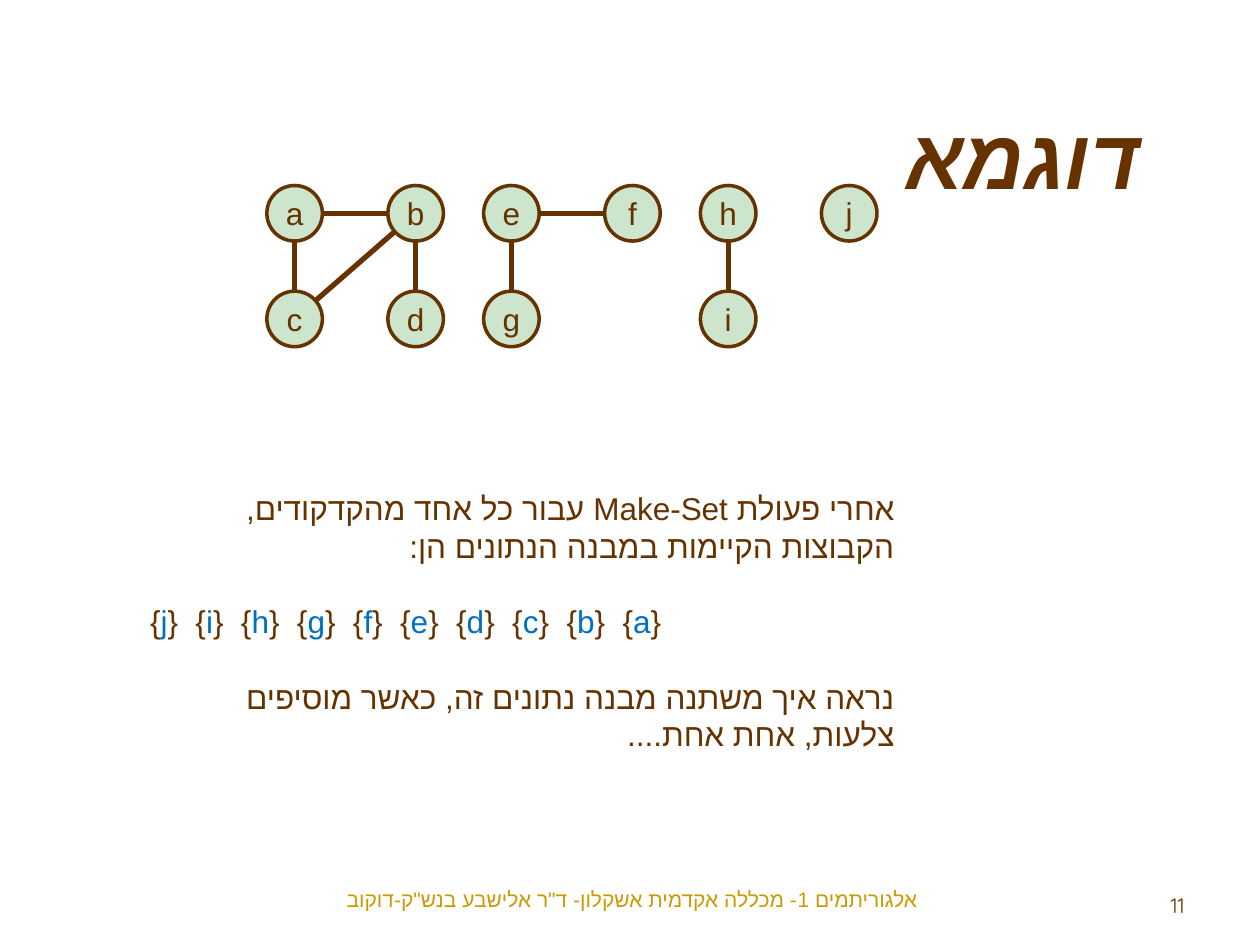
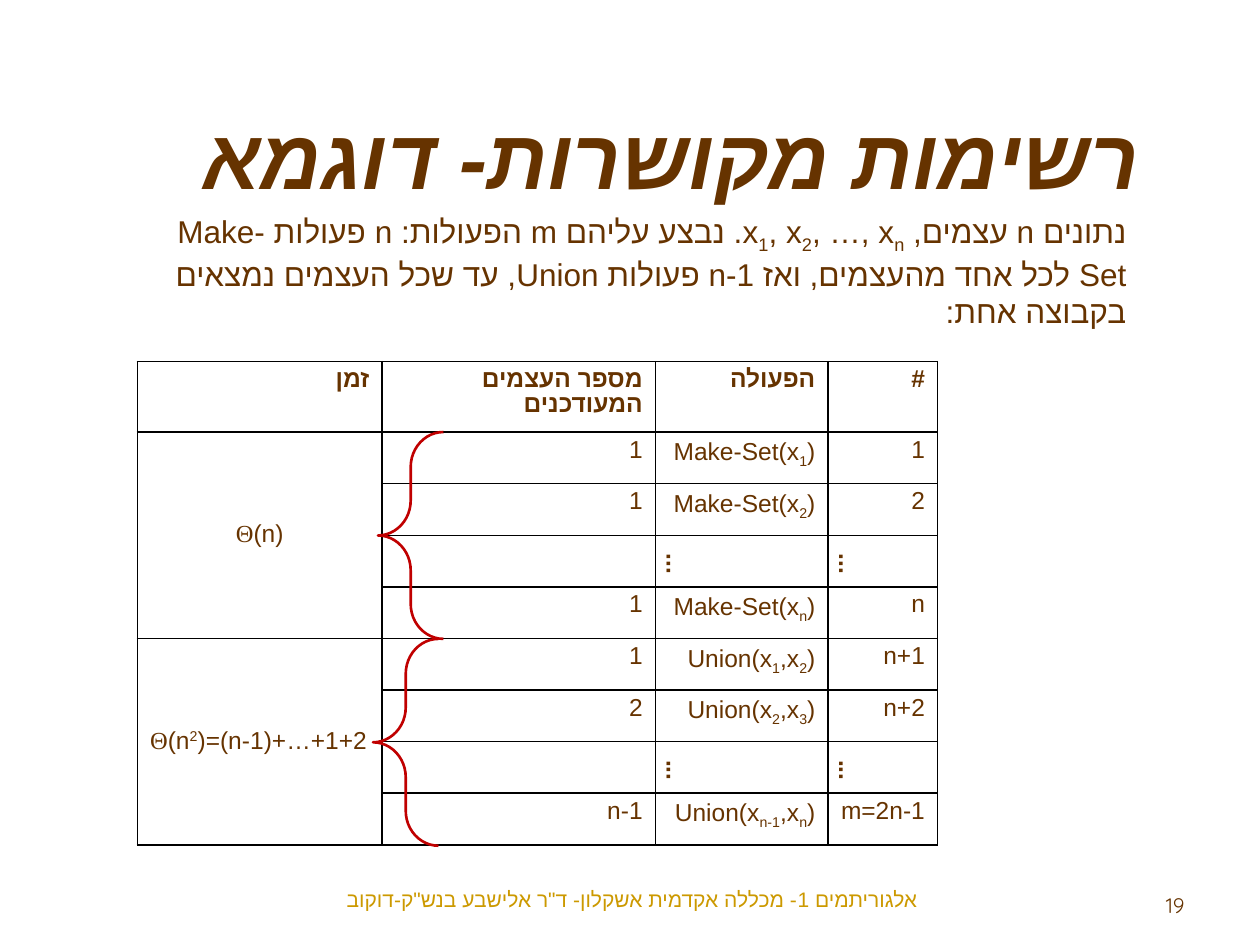
from dataclasses import dataclass
from math import hypot
from typing import NamedTuple

from lxml import etree
from pptx import Presentation
from pptx.dml.color import RGBColor
from pptx.enum.shapes import MSO_CONNECTOR, MSO_SHAPE
from pptx.enum.text import MSO_ANCHOR, MSO_AUTO_SIZE, PP_ALIGN
from pptx.oxml.ns import qn
from pptx.util import Cm, Pt

LEFT, CENTER, RIGHT = PP_ALIGN.LEFT, PP_ALIGN.CENTER, PP_ALIGN.RIGHT
TOP, MIDDLE, BOTTOM = MSO_ANCHOR.TOP, MSO_ANCHOR.MIDDLE, MSO_ANCHOR.BOTTOM
NO_AUTOFIT = MSO_AUTO_SIZE.NONE
ELLIPSE, LEFT_BRACE = MSO_SHAPE.OVAL, MSO_SHAPE.LEFT_BRACE
STRAIGHT = MSO_CONNECTOR.STRAIGHT


@dataclass(frozen=True)
class Theme:
    ink: str = "663300"
    accent: str = "0070C0"
    footer: str = "CC9900"
    node: str = "008000"
    brace: str = "C00000"
    border: str = "000000"
    font: str = "Arial"
    number_font: str = "Quicksand"
    symbol_font: str = "Times New Roman"
    title_size: int = 48
    body_size: int = 18
    cell_size: int = 14
    small_size: int = 12


THEME = Theme()


class Box(NamedTuple):
    left: float
    top: float
    width: float
    height: float

    def lengths(self) -> list:
        return [Cm(v) for v in self]


@dataclass(frozen=True)
class Run:
    text: str
    color: str = THEME.ink
    font: str = THEME.font
    bold: bool = False
    italic: bool = False
    baseline: int = 0
    tracking: int = 0


@dataclass(frozen=True)
class Para:
    runs: list
    size: int = THEME.body_size
    align: PP_ALIGN = RIGHT
    rtl: bool = True
    before: float = 0
    leading: float = 1.0


@dataclass(frozen=True)
class Cell:
    runs: list
    align: PP_ALIGN = RIGHT
    anchor: MSO_ANCHOR = TOP
    vertical: bool = False


class Node(NamedTuple):
    pair: int
    side: int
    row: int


TITLE_BOX = Box(2.77, 1.98, 20.45, 2.31)
NUMBER_BOX = Box(18.21, 17.86, 5.92, 0.89)
FOOTER_BOX = Box(5.74, 17.75, 14.0, 0.79)
FOOTER = 'אלגוריתמים 1- מכללה אקדמית אשקלון- ד"ר אלישבע בנש"ק-דוקוב'


def rgb(color: str) -> RGBColor:
    return RGBColor.from_string(color)


def subscripted(text: str) -> list:
    return [Run(part, baseline=-25000 * (i % 2)) for i, part in enumerate(text.split("|"))]


def fill_paragraph(p, para: Para) -> None:
    p.alignment = para.align
    p.space_before, p.space_after = Pt(para.before), Pt(0)
    p.line_spacing = para.leading
    pPr = p._p.get_or_add_pPr()
    pPr.set("rtl", str(int(para.rtl)))
    pPr.set("marL", "0")
    pPr.set("indent", "0")
    etree.SubElement(pPr, qn("a:buNone"))
    for run in para.runs:
        r = p.add_run()
        r.text = run.text
        f = r.font
        f.size, f.name = Pt(para.size), run.font
        f.bold, f.italic = run.bold, run.italic
        f.color.rgb = rgb(run.color)
        rPr = r._r.get_or_add_rPr()
        etree.SubElement(rPr, qn("a:cs"), typeface=run.font)
        if run.baseline:
            rPr.set("baseline", str(run.baseline))
        if run.tracking:
            rPr.set("spc", str(run.tracking))


def fill_text(tf, paras: list, anchor: MSO_ANCHOR = TOP) -> None:
    tf.word_wrap = True
    tf.auto_size = NO_AUTOFIT
    tf.vertical_anchor = anchor
    for i, para in enumerate(paras):
        fill_paragraph(tf.add_paragraph() if i else tf.paragraphs[0], para)


def fill_placeholder(sp, box: Box, paras: list, anchor: MSO_ANCHOR = TOP) -> None:
    sp.left, sp.top, sp.width, sp.height = box.lengths()
    fill_text(sp.text_frame, paras, anchor)


def add_text(s, box: Box, para: Para) -> None:
    fill_text(s.shapes.add_textbox(*box.lengths()).text_frame, [para])


def add_slide(prs, title: str, number: int, body_box: Box, body: list):
    s = prs.slides.add_slide(prs.slide_layouts[1])
    heading = Para([Run(title, bold=True, italic=True)], THEME.title_size)
    fill_placeholder(s.shapes.title, TITLE_BOX, [heading], BOTTOM)
    fill_placeholder(s.placeholders[1], body_box, body)
    page = [Run(str(number), font=THEME.number_font)]
    add_text(s, NUMBER_BOX, Para(page, THEME.small_size, rtl=False))
    add_text(s, FOOTER_BOX, Para([Run(FOOTER, THEME.footer)], THEME.small_size, CENTER))
    return s


NODE_RADIUS = 0.56
NODES = {
    "a": Node(0, 0, 0), "b": Node(0, 1, 0), "c": Node(0, 0, 1), "d": Node(0, 1, 1),
    "e": Node(1, 0, 0), "f": Node(1, 1, 0), "g": Node(1, 0, 1),
    "h": Node(2, 0, 0), "i": Node(2, 0, 1), "j": Node(2, 1, 0),
}
EDGES = ["ab", "ac", "cb", "bd", "ef", "eg", "hi"]


def node_center(name: str) -> tuple[float, float]:
    node = NODES[name]
    return 5.94 + 4.37 * node.pair + 2.44 * node.side, 4.3 + 2.13 * node.row


def add_node(s, name: str) -> None:
    x, y = node_center(name)
    box = Box(x - NODE_RADIUS, y - NODE_RADIUS, 2 * NODE_RADIUS, 2 * NODE_RADIUS)
    sp = s.shapes.add_shape(ELLIPSE, *box.lengths())
    sp.shadow.inherit = False
    sp.fill.solid()
    sp.fill.fore_color.rgb = rgb(THEME.node)
    tint = sp._element.spPr.find(qn("a:solidFill")).find(qn("a:srgbClr"))
    etree.SubElement(tint, qn("a:alpha"), val="20000")
    sp.line.color.rgb = rgb(THEME.ink)
    sp.line.width = Pt(2)
    tf = sp.text_frame
    tf.margin_left = tf.margin_right = tf.margin_top = tf.margin_bottom = 0
    fill_text(tf, [Para([Run(name)], align=CENTER, rtl=False)], MIDDLE)


def add_edge(s, start: str, end: str) -> None:
    (x1, y1), (x2, y2) = node_center(start), node_center(end)
    scale = NODE_RADIUS / hypot(x2 - x1, y2 - y1)
    dx, dy = (x2 - x1) * scale, (y2 - y1) * scale
    line = s.shapes.add_connector(STRAIGHT, Cm(x1 + dx), Cm(y1 + dy), Cm(x2 - dx), Cm(y2 - dy))
    line.line.color.rgb = rgb(THEME.ink)
    line.line.width = Pt(3)
    etree.SubElement(line._element.spPr, qn("a:effectLst"))


def add_borders(cell) -> None:
    tcPr = cell._tc.get_or_add_tcPr()
    for side in "LRTB":
        ln = etree.SubElement(tcPr, qn(f"a:ln{side}"), w=str(Pt(1)))
        paint = etree.SubElement(ln, qn("a:solidFill"))
        etree.SubElement(paint, qn("a:srgbClr"), val=THEME.border)


def fill_cell(cell, content: Cell) -> None:
    cell.vertical_anchor = content.anchor
    if content.vertical:
        cell._tc.get_or_add_tcPr().set("vert", "vert")
    para = Para(content.runs, THEME.cell_size, content.align, leading=0.9)
    fill_paragraph(cell.text_frame.paragraphs[0], para)


def add_cost_table(s, left: float, top: float, widths: list, heights: list, rows: list) -> None:
    box = Box(left, top, sum(widths), sum(heights))
    table = s.shapes.add_table(len(heights), len(widths), *box.lengths()).table
    table.first_row = table.horz_banding = False
    for column, width in zip(table.columns, widths):
        column.width = Cm(width)
    for row, height in zip(table.rows, heights):
        row.height = Cm(height)
    for cell in table.iter_cells():
        add_borders(cell)
        cell.fill.background()
    for first in (1, 5):
        table.cell(first, 0).merge(table.cell(first + 3, 0))
    for i, row in enumerate(rows):
        for j, content in enumerate(row):
            if content:
                fill_cell(table.cell(i, j), content)


def add_brace(s, box: Box) -> None:
    sp = s.shapes.add_shape(LEFT_BRACE, *box.lengths())
    sp.shadow.inherit = False
    sp.adjustments[0], sp.adjustments[1] = 0.535, 0.5
    sp.fill.background()
    sp.line.color.rgb = rgb(THEME.brace)
    sp.line.width = Pt(1.5)


def build_graph_slide(prs) -> None:
    sets = []
    for name in NODES:
        if sets:
            sets.append(Run(" ", tracking=500))
        sets += [Run("{"), Run(name, THEME.accent), Run("}")]
    body = [
        Para([Run("אחרי פעולת Make-Set עבור כל אחד מהקדקודים, הקבוצות הקיימות במבנה הנתונים הן:")]),
        Para(sets, align=LEFT, before=21.5),
        Para([Run("נראה איך משתנה מבנה נתונים זה, כאשר מוסיפים צלעות, אחת אחת....")], before=21.5),
    ]
    s = add_slide(prs, "דוגמא", 11, Box(2.77, 9.73, 15.52, 5.64), body)
    for name in NODES:
        add_node(s, name)
    for start, end in EDGES:
        add_edge(s, start, end)


def build_cost_slide(prs) -> None:
    intro = subscripted(
        "נתונים n עצמים, x|1|, x|2|, …, x|n|. נבצע עליהם m הפעולות: n פעולות Make-Set "
        "לכל אחד מהעצמים, ואז n-1 פעולות Union, עד שכל העצמים נמצאים בקבוצה אחת:")
    s = add_slide(prs, "רשימות מקושרות- דוגמא", 19, Box(2.77, 4.14, 20.19, 2.57), [Para(intro)])

    theta = Run("Θ", font=THEME.symbol_font)
    linear = Cell([theta, Run("(n)")], CENTER, MIDDLE)
    quadratic = Cell([Run("1+2+…+(n-1)="), theta, Run("(n"), Run("2", baseline=30000), Run(")")],
                     LEFT, MIDDLE)
    dots = Cell([Run("...", bold=True)], vertical=True)
    headings = ["זמן", "מספר העצמים המעודכנים", "הפעולה", "#"]
    steps = [
        (linear, "1", "Make-Set(x|1|)", "1"),
        (None, "1", "Make-Set(x|2|)", "2"),
        (None, None, dots, dots),
        (None, "1", "Make-Set(x|n|)", "n"),
        (quadratic, "1", "Union(x|1|,x|2|)", "n+1"),
        (None, "2", "Union(x|2|,x|3|)", "n+2"),
        (None, None, dots, dots),
        (None, "n-1", "Union(x|n-1|,x|n|)", "m=2n-1"),
    ]
    rows = [[Cell([Run(text, bold=True)]) for text in headings]]
    rows += [[Cell(subscripted(v)) if isinstance(v, str) else v for v in step] for step in steps]
    add_cost_table(s, 2.77, 7.29, [4.93, 5.51, 3.48, 2.21], [1.42] + [1.04] * len(steps), rows)
    add_brace(s, Box(7.62, 8.71, 1.32, 4.17))
    add_brace(s, Box(7.52, 12.88, 1.32, 4.17))


def main() -> None:
    prs = Presentation()
    prs.slide_width, prs.slide_height = Cm(25.4), Cm(19.05)
    build_graph_slide(prs)
    build_cost_slide(prs)
    prs.save("out.pptx")


main()
